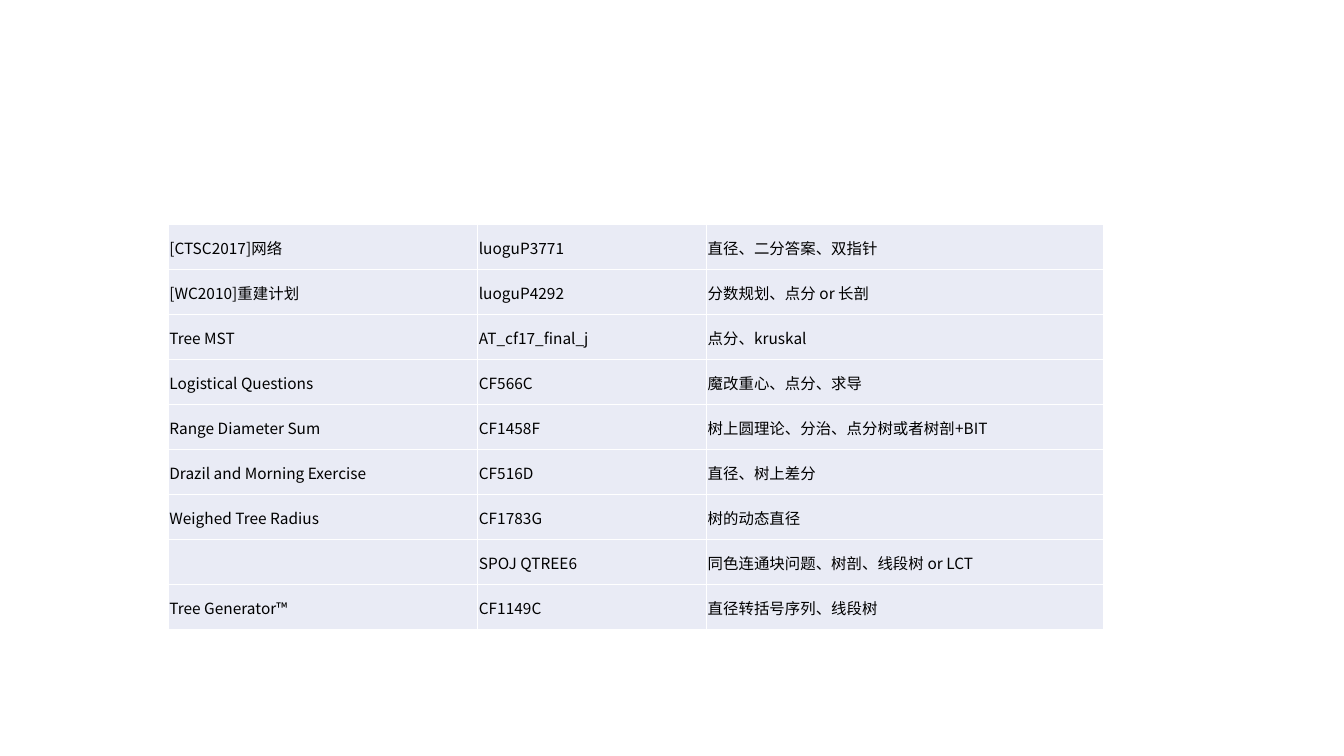
"""Build a slide with a table of tree problems, their identifiers and techniques."""
from lxml.etree import SubElement
from pptx import Presentation
from pptx.dml.color import RGBColor
from pptx.enum.text import MSO_ANCHOR, PP_ALIGN
from pptx.oxml.ns import qn
from pptx.util import Inches, Pt

PROBLEMS = [
    ("[CTSC2017]网络", "luoguP3771", "直径、二分答案、双指针"),
    ("[WC2010]重建计划", "luoguP4292", "分数规划、点分 or 长剖"),
    ("Tree MST", "AT_cf17_final_j", "点分、kruskal"),
    ("Logistical Questions", "CF566C", "魔改重心、点分、求导"),
    ("Range Diameter Sum", "CF1458F", "树上圆理论、分治、点分树或者树剖+BIT"),
    ("Drazil and Morning Exercise", "CF516D", "直径、树上差分"),
    ("Weighed Tree Radius", "CF1783G", "树的动态直径"),
    ("", "SPOJ QTREE6", "同色连通块问题、树剖、线段树 or LCT"),
    ("Tree Generator™", "CF1149C", "直径转括号序列、线段树"),
]
COLUMN_WIDTHS = (3.07, 2.27, 3.94)
TABLE_HEIGHT = 4.02
FONT_NAME = "Noto Sans CJK SC"
BLACK = RGBColor(0x00, 0x00, 0x00)
WHITE = RGBColor(0xFF, 0xFF, 0xFF)
PALE_BLUE = RGBColor(0xE9, 0xEB, 0xF5)


def add_borders(cell):
    """Draw a thin white line on every side of a cell."""
    properties = cell._tc.get_or_add_tcPr()
    for side in ("lnL", "lnR", "lnT", "lnB"):
        line = SubElement(properties, qn(f"a:{side}"), w=str(Pt(1)))
        fill = SubElement(line, qn("a:solidFill"))
        SubElement(fill, qn("a:srgbClr"), val=str(WHITE))


def fill_cell(cell, text):
    """Write and format one cell."""
    cell.text = text
    cell.vertical_anchor = MSO_ANCHOR.MIDDLE
    cell.margin_left = cell.margin_right = cell.margin_top = Inches(0.01)
    cell.margin_bottom = 0
    add_borders(cell)
    cell.fill.solid()
    cell.fill.fore_color.rgb = PALE_BLUE
    para = cell.text_frame.paragraphs[0]
    para.alignment = PP_ALIGN.LEFT
    para.font.size = Pt(11)
    para.font.name = FONT_NAME
    para.font.color.rgb = BLACK


def main():
    """Create the deck and save it."""
    deck = Presentation()
    deck.slide_width, deck.slide_height = Inches(13.33), Inches(7.5)
    page = deck.slides.add_slide(deck.slide_layouts[6])
    frame = page.shapes.add_table(
        len(PROBLEMS), len(COLUMN_WIDTHS), Inches(1.67), Inches(2.23),
        Inches(sum(COLUMN_WIDTHS)), Inches(TABLE_HEIGHT))
    table = frame.table
    table.first_row = table.horz_banding = False
    for column, width in zip(table.columns, COLUMN_WIDTHS):
        column.width = Inches(width)
    for row, problem in zip(table.rows, PROBLEMS):
        for cell, text in zip(row.cells, problem):
            fill_cell(cell, text)
    deck.save("out.pptx")


if __name__ == "__main__":
    main()
